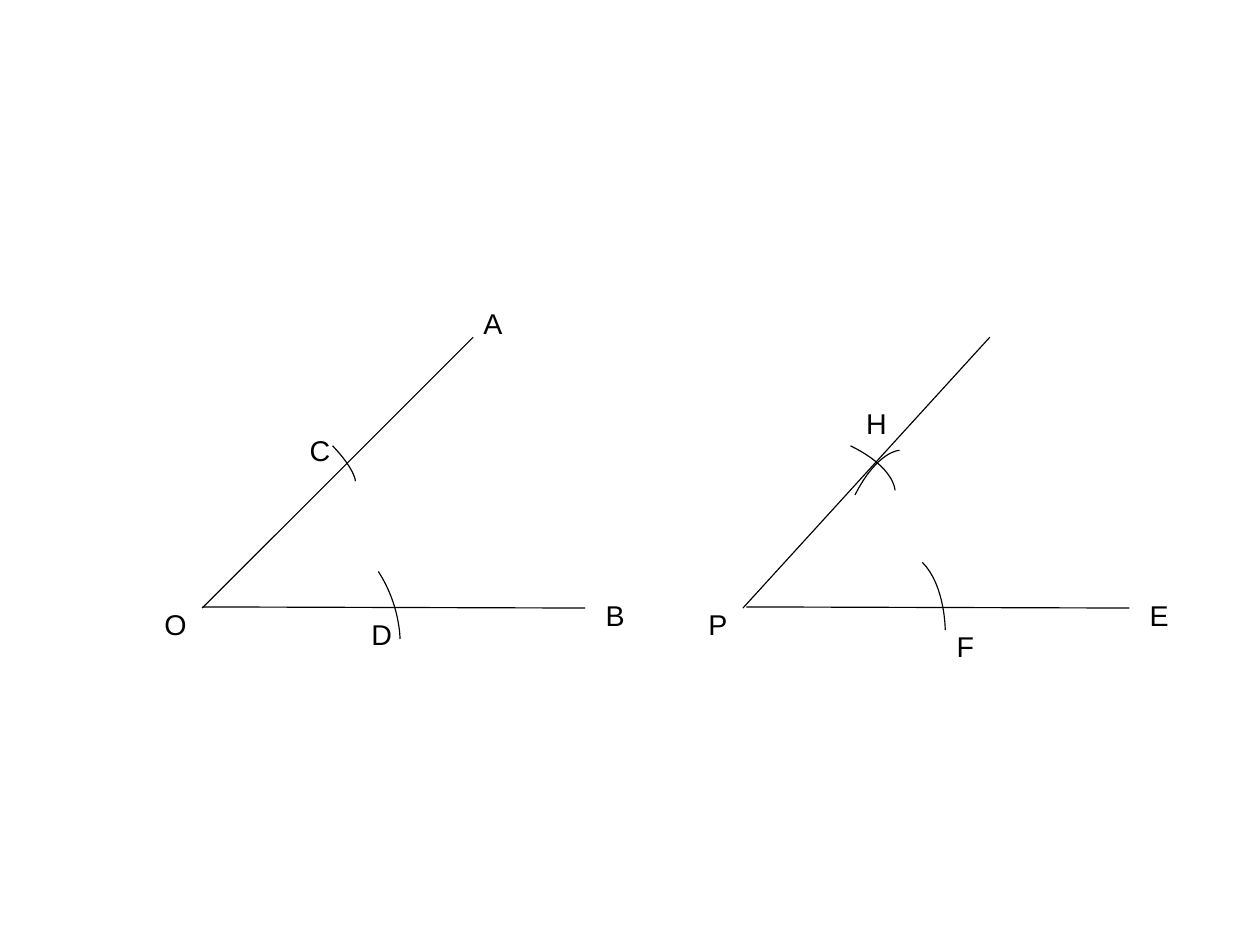
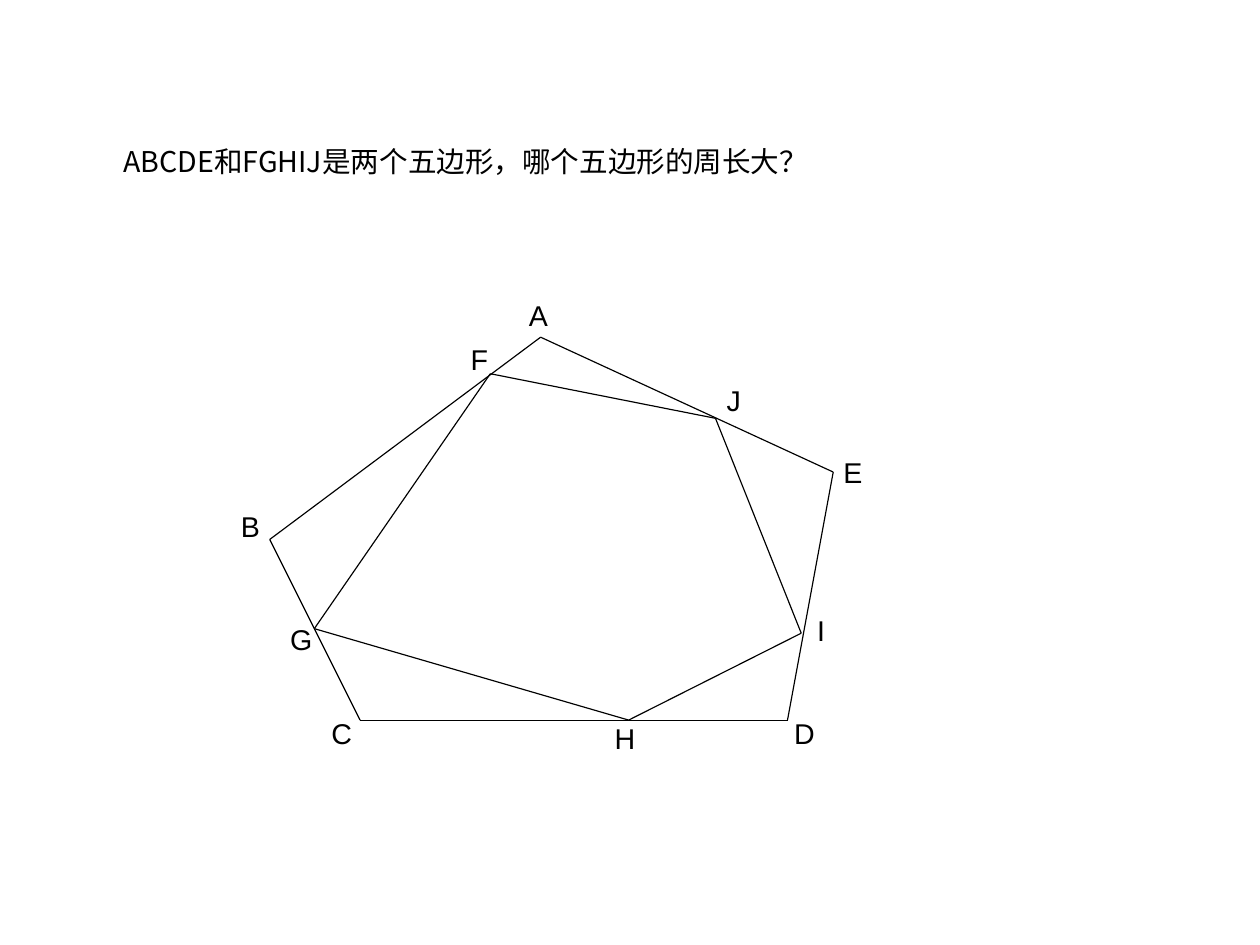
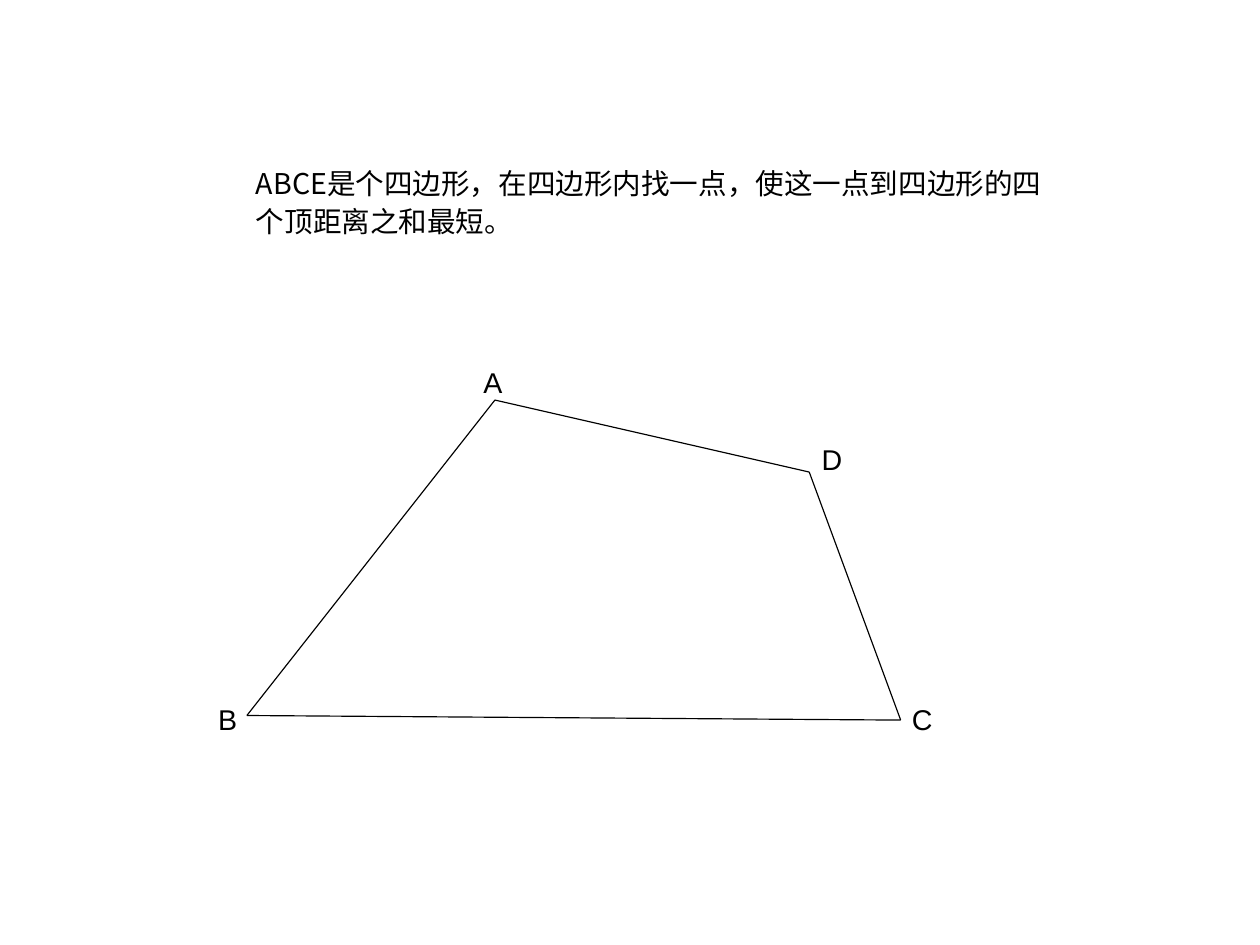
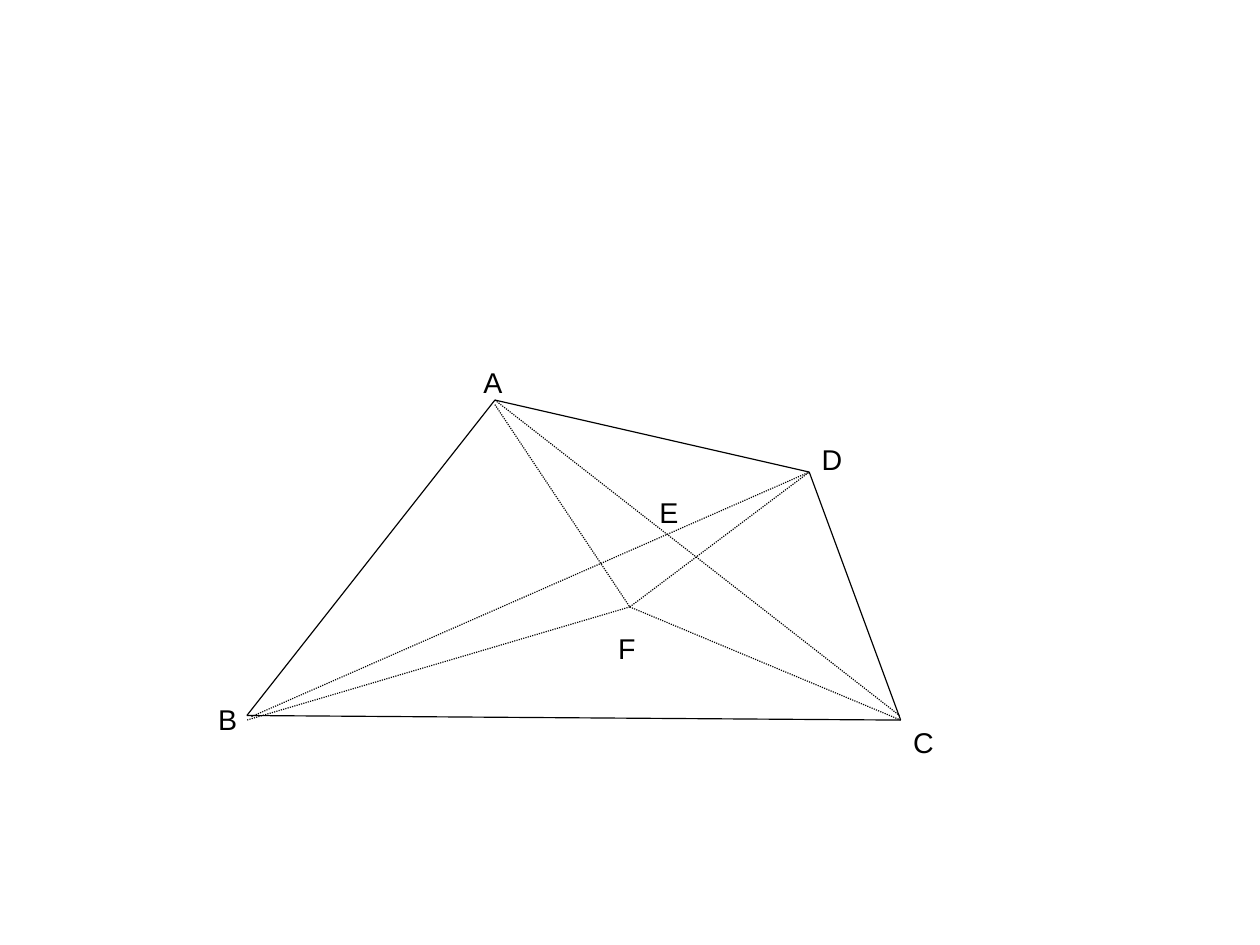
from lxml.etree import SubElement
from pptx import Presentation
from pptx.dml.color import RGBColor
from pptx.enum.dml import MSO_LINE
from pptx.enum.shapes import MSO_CONNECTOR
from pptx.oxml.ns import qn
from pptx.util import Inches, Pt

WIDTHS = dict(A=0.36, B=0.36, C=0.38, D=0.38, E=0.36, F=0.35,
              G=0.39, H=0.38, I=0.27, J=0.32, O=0.39, P=0.39)


def color(code):
    return RGBColor.from_string(code)


class Sketch:
    INK = "000000"
    WEIGHT = 0.75
    SIZE = 18
    LATIN = "Arial"
    HAN = "Noto Sans CJK SC"

    def __init__(self):
        self.deck = Presentation()
        self.deck.slide_width = Inches(28 / 2.54)
        self.deck.slide_height = Inches(21 / 2.54)
        self.shapes = None

    def page(self):
        self.shapes = self.deck.slides.add_slide(self.deck.slide_layouts[6]).shapes

    def stroke(self, line, dash=None):
        line.color.rgb = color(self.INK)
        line.width = Pt(self.WEIGHT)
        if dash:
            line.dash_style = dash

    def line(self, start, end, dash=None):
        ends = [Inches(v) for v in (*start, *end)]
        edge = self.shapes.add_connector(MSO_CONNECTOR.STRAIGHT, *ends)
        self.stroke(edge.line, dash)
        SubElement(edge._element.spPr, qn("a:effectLst"))

    def polygon(self, points):
        for start, end in zip(points, points[1:] + points[:1]):
            self.line(start, end)

    def arc(self, start, bend, end, steps=16):
        def point(t):
            return tuple(
                Inches((1 - t) ** 3 * a + 3 * (1 - t) ** 2 * t * b
                       + (3 * (1 - t) * t ** 2 + t ** 3) * c)
                for a, b, c in zip(start, bend, end))

        points = [point(i / steps) for i in range(steps + 1)]
        maker = self.shapes.build_freeform(*points[0], scale=1.0)
        maker.add_line_segments(points[1:], close=False)
        curve = maker.convert_to_shape()
        curve.fill.background()
        curve.shadow.inherit = False
        self.stroke(curve.line)

    def text(self, words, left, top, width, height, *, face, pad, space, wrap):
        box = self.shapes.add_textbox(*map(Inches, (left, top, width, height)))
        frame = box.text_frame
        frame.word_wrap = wrap
        frame.margin_left = frame.margin_right = Inches(0.1)
        frame.margin_top = Inches(pad)
        frame.margin_bottom = Inches(0.05)
        para = frame.paragraphs[0]
        para.line_spacing = space
        run = para.add_run()
        run.text = words
        run.font.size = Pt(self.SIZE)
        run.font.name = face
        run.font.color.rgb = color(self.INK)
        SubElement(run.font._element, qn("a:ea")).set("typeface", face)

    def labels(self, spots):
        for name, (left, top) in spots.items():
            self.text(name, left, top, WIDTHS[name], 0.38, face=self.LATIN,
                      pad=0.07, space=0.93, wrap=False)

    def problem(self, words, left, top, width, height):
        self.text(words, left, top, width, height, face=self.HAN,
                  pad=0.05, space=1.09, wrap=True)


def angles(art):
    art.page()
    for start, end in [((4.14, 2.95), (1.77, 5.32)), ((1.77, 5.31), (5.12, 5.32)),
                       ((6.53, 5.31), (9.88, 5.32)), ((6.5, 5.32), (8.66, 2.95))]:
        art.line(start, end)
    for arc in [((8.07, 4.92), (8.27, 5.12), (8.27, 5.51)),
                ((7.48, 4.33), (7.68, 3.94), (7.87, 3.94)),
                ((3.31, 5), (3.5, 5.29), (3.5, 5.59)),
                ((7.44, 3.9), (7.83, 4.09), (7.83, 4.29)),
                ((2.91, 3.9), (3.11, 4.11), (3.11, 4.21))]:
        art.arc(*arc)
    art.labels(dict(A=(4.13, 2.63), O=(1.34, 5.27), B=(5.2, 5.19), P=(6.1, 5.27),
                    E=(9.96, 5.19), C=(2.61, 3.74), D=(3.15, 5.35),
                    F=(8.27, 5.46), H=(7.48, 3.51)))


def pentagons(art):
    art.page()
    art.polygon([(4.73, 2.95), (2.36, 4.72), (3.15, 6.3), (6.89, 6.3), (7.29, 4.13)])
    art.polygon([(4.29, 3.27), (2.75, 5.5), (5.5, 6.3), (7.01, 5.54), (6.26, 3.66)])
    art.problem("ABCDE和FGHIJ是两个五边形，哪个五边形的周长大？", 0.98, 1.18, 9.25, 0.59)
    art.labels(dict(A=(4.53, 2.56), F=(4.02, 2.95), B=(2.01, 4.41), C=(2.8, 6.22),
                    D=(6.85, 6.22), E=(7.28, 3.94), J=(6.26, 3.31), I=(7.05, 5.32),
                    H=(5.28, 6.26), G=(2.44, 5.4)))


QUAD = dict(A=(4.33, 3.5), B=(2.16, 6.26), C=(7.88, 6.3), D=(7.08, 4.13))


def quad(art, corner):
    art.page()
    art.polygon(list(QUAD.values()))
    art.labels(dict(A=(4.13, 3.15), B=(1.81, 6.1), C=corner, D=(7.09, 3.82)))


def question(art):
    quad(art, (7.88, 6.1))
    art.problem("ABCE是个四边形，在四边形内找一点，使这一点到四边形的四个顶距离之和最短。",
                2.14, 1.38, 7.31, 0.74)


def answer(art):
    quad(art, (7.89, 6.3))
    inner = (5.51, 5.31)
    for start, end in [(QUAD["A"], (7.87, 6.26)), ((2.2, 6.27), QUAD["D"]),
                       ((4.33, 3.54), inner), (inner, QUAD["D"]),
                       (inner, QUAD["C"]), (inner, (2.16, 6.3))]:
        art.line(start, end, MSO_LINE.ROUND_DOT)
    art.labels(dict(E=(5.67, 4.29), F=(5.31, 5.48)))


def main():
    art = Sketch()
    for draw in (angles, pentagons, question, answer):
        draw(art)
    art.deck.save("out.pptx")


if __name__ == "__main__":
    main()
